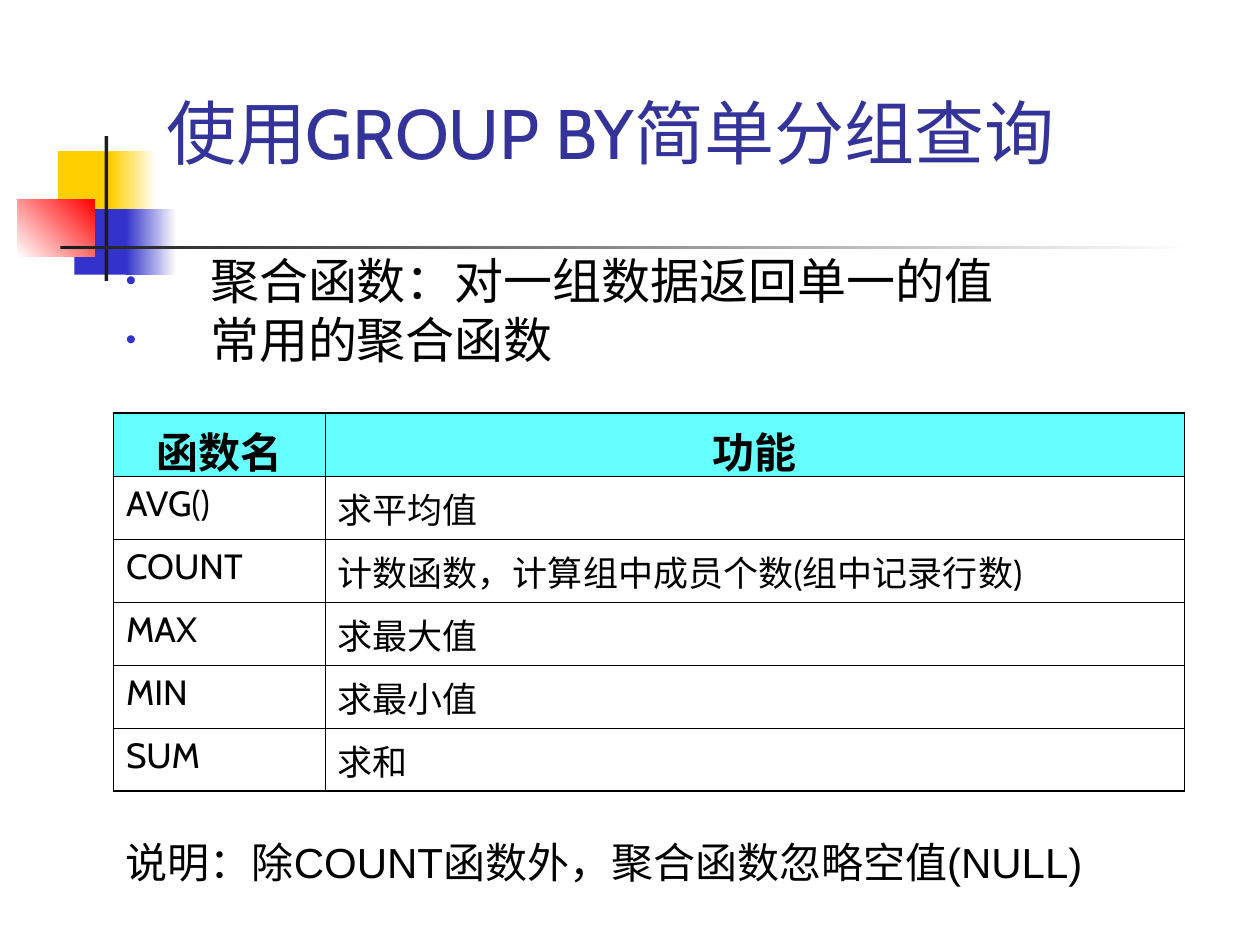
from lxml.etree import SubElement
from pptx import Presentation
from pptx.dml.color import RGBColor
from pptx.enum.shapes import MSO_SHAPE as Shape
from pptx.enum.text import MSO_ANCHOR as Anchor, PP_ALIGN as Align
from pptx.oxml.ns import qn
from pptx.util import Inches, Pt

CJK = "Noto Sans CJK SC"
BLACK, YELLOW, BLUE, RED, WHITE, CHARCOAL = "000000", "FFCF01", "3333CC", "FF0000", "FFFFFF", "1C1C1C"


def rgb(code):
    return RGBColor.from_string(code)


def add_xml(parent, tag, **attributes):
    return SubElement(parent, qn(tag), attributes)


class SlideBuilder:
    """Holds the text style and the current slide, and draws each kind of element."""

    def __init__(self, slide, font="Cabin", color=BLACK):
        self.slide = slide
        self.font = font
        self.color = color

    def block(self, box, *colors, angle=0):
        block = self.slide.shapes.add_shape(Shape.RECTANGLE, *map(Inches, box))
        block.shadow.inherit = False
        block.line.fill.background()
        if len(colors) == 1:
            block.fill.solid()
            block.fill.fore_color.rgb = rgb(colors[0])
        else:
            block.fill.gradient()
            block.fill.gradient_angle = angle
            for stop, color in zip(block.fill.gradient_stops, colors):
                stop.color.rgb = rgb(color)

    def add_run(self, paragraph, text, size, font=None, color=None, bold=False):
        run = paragraph.add_run()
        run.text = text
        run.font.size = Pt(size)
        run.font.name = font or self.font
        run.font.bold = bold
        run.font.color.rgb = rgb(color or self.color)
        run.font._element.find(qn("a:latin")).addnext(add_xml(run.font._element, "a:ea", typeface=CJK))

    def text(self, box, lines, size, font=None, color=None, anchor=Anchor.TOP, bullets=False):
        frame = self.slide.shapes.add_textbox(*map(Inches, box)).text_frame
        frame.word_wrap = True
        frame.vertical_anchor = anchor
        for index, line in enumerate(lines):
            paragraph = frame.add_paragraph() if index else frame.paragraphs[0]
            if bullets:
                self.bullet(paragraph)
            self.add_run(paragraph, line, size, font, color)

    def bullet(self, paragraph):
        properties = paragraph._p.get_or_add_pPr()
        properties.set("marL", str(Inches(0.67)))
        properties.set("indent", str(-Inches(0.67)))
        add_xml(add_xml(properties, "a:buClr"), "a:srgbClr", val=BLUE)
        add_xml(properties, "a:buSzPct", val="60000")
        add_xml(properties, "a:buFont", typeface="Arial")
        add_xml(properties, "a:buChar", char="•")

    def borders(self, cell, outer):
        properties = cell._tc.get_or_add_tcPr()
        for side, is_outer in zip("LRTB", outer):
            width = Pt(1.08 if is_outer else 0.45)
            line = add_xml(properties, f"a:ln{side}", w=str(width))
            add_xml(add_xml(line, "a:solidFill"), "a:srgbClr", val=BLACK)

    def table(self, box, widths, row_height, rows):
        table = self.slide.shapes.add_table(len(rows), len(widths), *map(Inches, box)).table
        table.first_row = table.horz_banding = False
        for column, width in zip(table.columns, widths):
            column.width = Inches(width)
        last_row, last_column = len(rows) - 1, len(widths) - 1
        for r, values in enumerate(rows):
            table.rows[r].height = Inches(row_height)
            for c, value in enumerate(values):
                cell = table.cell(r, c)
                self.borders(cell, (c == 0, c == last_column, r == 0, r == last_row))
                paragraph = cell.text_frame.paragraphs[0]
                if r == 0:
                    cell.fill.solid()
                    cell.fill.fore_color.rgb = rgb("66FFFF")
                    paragraph.alignment = Align.CENTER
                    self.add_run(paragraph, value, 24, bold=True)
                else:
                    cell.fill.background()
                    self.add_run(paragraph, value, 20)


def main():
    deck = Presentation()
    deck.slide_width, deck.slide_height = Inches(10), Inches(7.5)
    page = SlideBuilder(deck.slides.add_slide(deck.slide_layouts[6]))

    page.block((0.46, 1.2, 0.48, 0.52), YELLOW)
    page.block((0.88, 1.2, 0.36, 0.52), YELLOW, WHITE)
    page.block((0.59, 1.66, 0.46, 0.52), BLUE)
    page.block((1, 1.66, 0.4, 0.52), BLUE, WHITE)
    page.block((0.14, 1.58, 0.61, 0.46), WHITE, RED, angle=45)
    page.block((0.83, 1.08, 0.03, 1.15), CHARCOAL)
    page.block((0.48, 1.95, 9, 0.03), CHARCOAL, WHITE)

    page.text((1.22, 0.36, 8.52, 1.07), ["使用GROUP BY简单分组查询"], 40, color="333399", anchor=Anchor.BOTTOM)
    page.text((0.9, 1.94, 8.73, 1.23), ["聚合函数：对一组数据返回单一的值", "常用的聚合函数"], 28, font=CJK, bullets=True)
    functions = [
        ("函数名", "功能"),
        ("AVG()", "求平均值"),
        ("COUNT", "计数函数，计算组中成员个数(组中记录行数)"),
        ("MAX", "求最大值"),
        ("MIN", "求最小值"),
        ("SUM", "求和"),
    ]
    page.table((0.9, 3.28, 8.5, 3), (1.68, 6.82), 0.5, functions)
    page.text((0.9, 6.59, 8, 0.9), ["说明：除COUNT函数外，聚合函数忽略空值(NULL)"], 24, font="Arial")

    deck.save("out.pptx")


if __name__ == "__main__":
    main()
